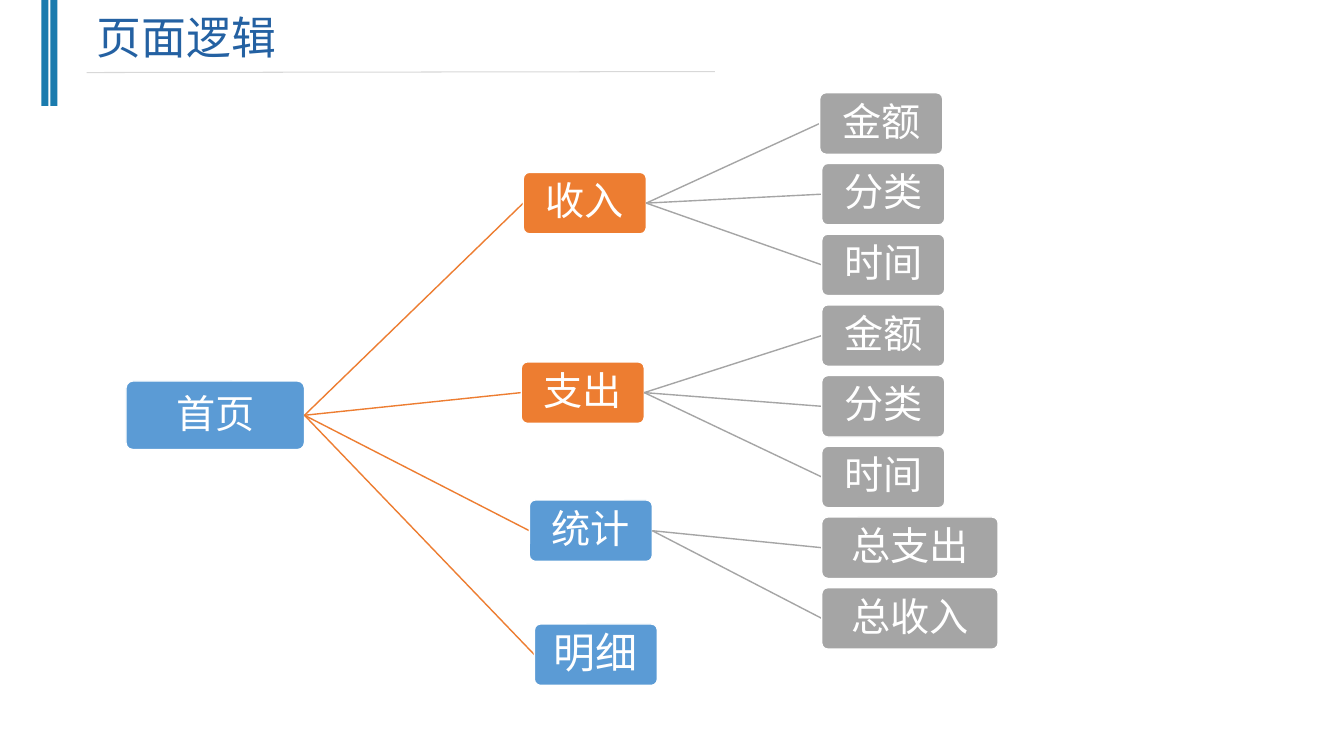
from lxml import etree
from pptx import Presentation
from pptx.dml.color import RGBColor
from pptx.enum.shapes import MSO_CONNECTOR, MSO_SHAPE
from pptx.enum.text import MSO_ANCHOR, MSO_AUTO_SIZE, PP_ALIGN
from pptx.oxml.ns import qn
from pptx.util import Inches, Pt

STRAIGHT = MSO_CONNECTOR.STRAIGHT
RECTANGLE = MSO_SHAPE.RECTANGLE
ROUNDED = MSO_SHAPE.ROUNDED_RECTANGLE
TOP, MIDDLE = MSO_ANCHOR.TOP, MSO_ANCHOR.MIDDLE
LEFT, CENTER = PP_ALIGN.LEFT, PP_ALIGN.CENTER
GROW = MSO_AUTO_SIZE.SHAPE_TO_FIT_TEXT

COLORS = {
    name: RGBColor.from_string(code)
    for name, code in {
        "bar": "1A7BAE", "title": "2461A2", "rule": "D8D8D8", "white": "FFFFFF",
        "blue": "5B9BD5", "orange": "ED7D31", "gray": "A5A5A5",
    }.items()
}
NODE_FONT = "Noto Sans CJK SC"
NODE_WIDTH, NODE_HEIGHT = 1.22, 0.61
LEAF_TOP, LEAF_STEP = 0.92, (5.83 - 0.92) / 7

# Label, left, top, colour, text size, leaves as (label, left, width)
BRANCHES = [
    ("收入", 5.19, 1.71, "orange", 28,
     [("金额", 8.13, 1.22), ("分类", 8.15, 1.22), ("时间", 8.15, 1.22)]),
    ("支出", 5.17, 3.59, "orange", 28,
     [("金额", 8.15, 1.22), ("分类", 8.15, 1.22), ("时间", 8.15, 1.22)]),
    ("统计", 5.25, 4.96, "blue", 28,
     [("总支出", 8.15, 1.75), ("总收入", 8.15, 1.75)]),
    ("明细", 5.3, 6.19, "blue", 30, []),
]


def add_line(x1, y1, x2, y2, color, width=1):
    line = page.shapes.add_connector(
        STRAIGHT, Inches(x1), Inches(y1), Inches(x2), Inches(y2))
    line.line.color.rgb = COLORS[color]
    line.line.width = Pt(width)
    etree.SubElement(line._element.spPr, qn("a:effectLst"))


def add_node(label, left, top, width, height, color, size=28):
    node = page.shapes.add_shape(
        ROUNDED, Inches(left), Inches(top), Inches(width), Inches(height))
    node.adjustments[0] = 0.1
    node.shadow.inherit = False
    node.fill.solid()
    node.fill.fore_color.rgb = COLORS[color]
    node.line.color.rgb = COLORS["white"]
    node.line.width = Pt(1)
    frame = node.text_frame
    frame.margin_left = frame.margin_right = Inches(0.04)
    frame.margin_top = frame.margin_bottom = Inches(0.04)
    frame.vertical_anchor = MIDDLE
    frame.word_wrap = True
    para = frame.paragraphs[0]
    para.text = label
    para.alignment = CENTER
    para.line_spacing = 0.9
    para.font.name = NODE_FONT
    para.font.size = Pt(size)
    para.font.color.rgb = COLORS["white"]


deck = Presentation()
deck.slide_width, deck.slide_height = Inches(13.33), Inches(7.5)
page = deck.slides.add_slide(deck.slide_layouts[5])

# Heading
for left in (0.41, 0.5):
    bar = page.shapes.add_shape(
        RECTANGLE, Inches(left), Inches(0), Inches(0.07), Inches(1.05))
    bar.shadow.inherit = False
    bar.fill.solid()
    bar.fill.fore_color.rgb = COLORS["bar"]
    bar.line.fill.background()
add_line(0.86, 0.72, 7.09, 0.71, "rule", 0.75)

title = page.shapes.title
title.left, title.top = Inches(0.86), Inches(0.05)
title.width, title.height = Inches(6.71), Inches(0.64)
title.text_frame.vertical_anchor = TOP
title.text_frame.auto_size = GROW
heading = title.text_frame.paragraphs[0]
heading.text = "页面逻辑"
heading.alignment = LEFT
heading.font.name = "Times New Roman"
heading.font.size = Pt(32)
heading.font.color.rgb = COLORS["title"]

# Tree, from the home page to its branches and their leaves
add_node("首页", 1.25, 3.78, 1.77, 0.68, "blue")
leaf_top = LEAF_TOP
for label, left, top, color, size, leaves in BRANCHES:
    middle = top + NODE_HEIGHT / 2
    add_line(3.02, 4.12, left, middle, "orange")
    add_node(label, left, top, NODE_WIDTH, NODE_HEIGHT, color, size)
    for leaf, leaf_left, leaf_width in leaves:
        add_line(left + NODE_WIDTH, middle,
                 leaf_left, leaf_top + NODE_HEIGHT / 2, "gray")
        add_node(leaf, leaf_left, leaf_top, leaf_width, NODE_HEIGHT, "gray")
        leaf_top += LEAF_STEP

deck.save("out.pptx")
